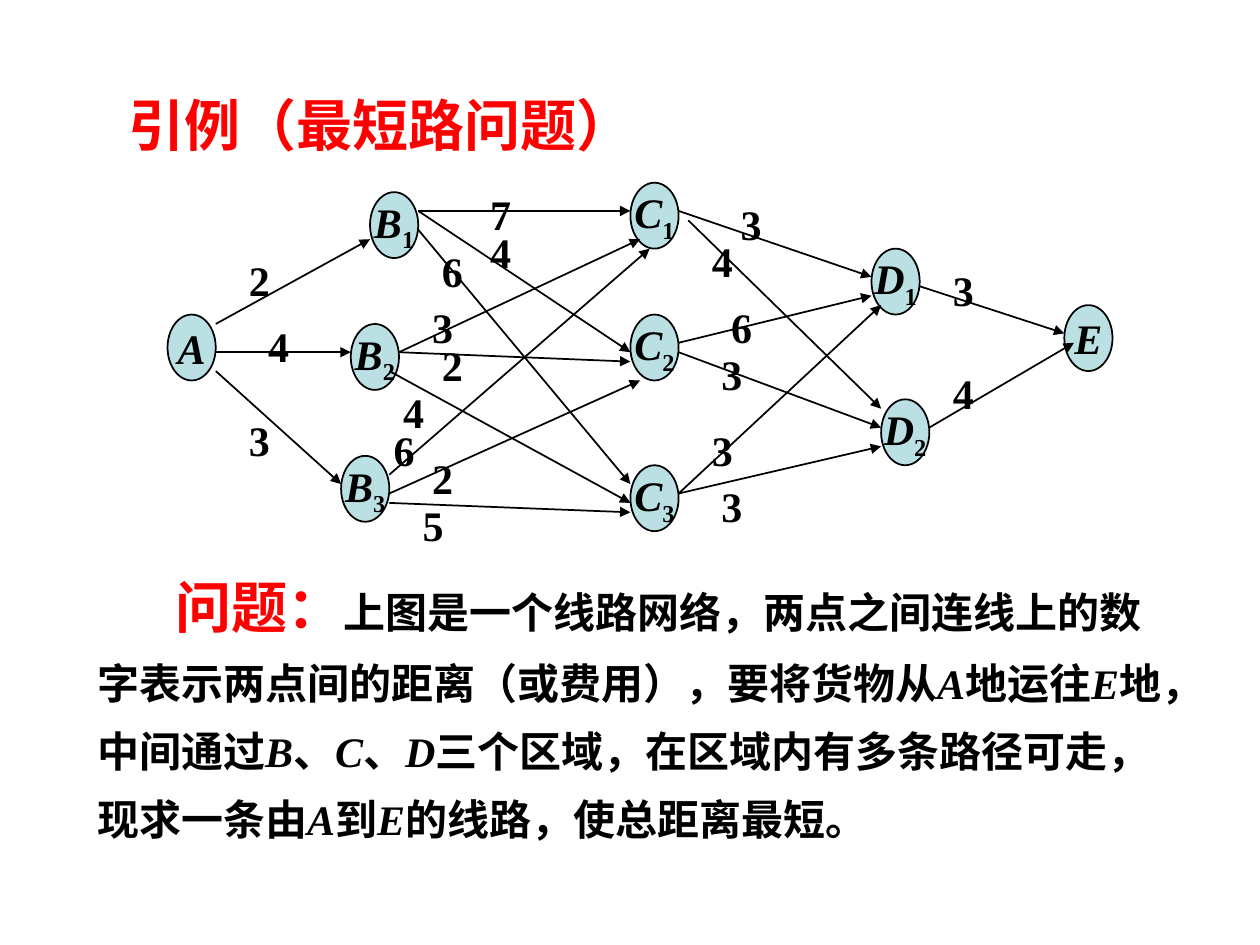
from lxml import etree
from pptx import Presentation
from pptx.dml.color import RGBColor
from pptx.enum.shapes import MSO_CONNECTOR, MSO_SHAPE
from pptx.enum.text import MSO_ANCHOR, MSO_AUTO_SIZE, PP_ALIGN
from pptx.oxml.ns import qn
from pptx.util import Pt

ELLIPSE = MSO_SHAPE.OVAL
STRAIGHT = MSO_CONNECTOR.STRAIGHT
TOP, MIDDLE = MSO_ANCHOR.TOP, MSO_ANCHOR.MIDDLE
LEFT, CENTER = PP_ALIGN.LEFT, PP_ALIGN.CENTER
NO_FIT = MSO_AUTO_SIZE.NONE

PX = 9144
SERIF, SANS, CJK = "Times New Roman", "Arial", "Noto Sans CJK SC"
BLACK, RED, PALE_BLUE = "000000", "FF0000", "BBE0E3"
COLUMNS, ROWS = 98, 40
NODE_COLUMNS, NODE_ROWS = 5, 7
LABEL_WIDTH, LABEL_HEIGHT = 54, 50

NODES = {
    "A": (0, 14),
    "B1": (21, 1), "B2": (19, 15), "B3": (18, 29),
    "C1": (48, 0), "C2": (48, 14), "C3": (48, 30),
    "D1": (73, 7), "D2": (74, 23),
    "E": (93, 13),
}

# Each route: start cell, end cell, distance, cell of the distance label.
ROUTES = [
    ((5, 15), (21, 6), "2", (6, 7)),
    ((5, 18), (19, 18), "4", (8, 14)),
    ((5, 20), (18, 32), "3", (6, 24)),
    ((26, 3), (48, 3), "7", (31, 0)),
    ((26, 3), (48, 18), "4", (31, 4)),
    ((26, 5), (48, 32), "6", (26, 6)),
    ((24, 18), (49, 6), "3", (25, 12)),
    ((24, 18), (48, 19), "2", (26, 16)),
    ((23, 20), (48, 34), "4", (22, 21)),
    ((23, 31), (50, 7), "6", (21, 25)),
    ((23, 33), (49, 21), "2", (25, 28)),
    ((23, 34), (48, 35), "5", (24, 33)),
    ((53, 3), (73, 10), "3", (57, 1)),
    ((54, 4), (74, 24), "4", (54, 5)),
    ((53, 17), (73, 12), "6", (56, 12)),
    ((53, 18), (74, 26), "3", (55, 17)),
    ((53, 33), (74, 13), "3", (54, 25)),
    ((53, 33), (74, 28), "3", (55, 31)),
    ((78, 11), (93, 16), "3", (79, 8)),
    ((79, 26), (94, 17), "4", (79, 19)),
]

QUESTION = [
    "上图是一个线路网络，两点之间连线上的数字表示两点间的距离（或费用），要将货物从",
    "A", "地运往", "E", "地，中间通过", "B", "、", "C", "、", "D",
    "三个区域，在区域内有多条路径可走，现求一条由", "A", "到", "E",
    "的线路，使总距离最短。",
]


def px(length):
    """Turn px into EMU."""
    return round(length * PX)


def color(hex_string):
    """Turn a hex string into a colour."""
    return RGBColor.from_string(hex_string)


def place(shape, box):
    """Move a shape to a box of left, top, width and height."""
    shape.left, shape.top, shape.width, shape.height = map(px, box)


def style(font, name, size, hex_string):
    """Set a bold font with its size and colour."""
    font.name, font.size, font.bold = name, Pt(size), True
    font.color.rgb = color(hex_string)


def add_run(paragraph, text):
    """Add a run whose Chinese characters use the CJK font."""
    run = paragraph.add_run()
    run.text = text
    etree.SubElement(run._r.get_or_add_rPr(), qn("a:ea")).set("typeface", CJK)
    return run


def open_placeholder(placeholder, box):
    """Place a placeholder and return its first paragraph, left aligned."""
    place(placeholder, box)
    frame = placeholder.text_frame
    frame.word_wrap, frame.auto_size, frame.vertical_anchor = True, NO_FIT, TOP
    paragraph = frame.paragraphs[0]
    paragraph.alignment, paragraph.space_before = LEFT, Pt(0)
    return paragraph


def add_heading(slide, box):
    """Fill the title placeholder."""
    heading = open_placeholder(slide.shapes.title, box)
    style(heading.font, SANS, 32, RED)
    add_run(heading, "引例（最短路问题）")


def add_question(slide, box):
    """Fill the body placeholder with the question below the network."""
    question = open_placeholder(slide.placeholders[1], box)
    question.line_spacing = 1.35
    properties = question._p.get_or_add_pPr()
    properties.set("marL", "0")
    properties.set("indent", str(px(62)))
    etree.SubElement(properties, qn("a:buNone"))
    style(question.font, SERIF, 24, BLACK)
    style(add_run(question, "问题：").font, SERIF, 32, RED)
    for part in QUESTION:
        place_name = part.isascii()
        run = add_run(question, part)
        style(run.font, SERIF if place_name or part == "、" else CJK, 24, BLACK)
        run.font.italic = place_name


def add_node(slide, name, box):
    """Draw a place as an ellipse with its letter and subscript."""
    node = slide.shapes.add_shape(ELLIPSE, *map(px, box))
    node.shadow.inherit = False
    node.fill.solid()
    node.fill.fore_color.rgb = color(PALE_BLUE)
    node.line.color.rgb = color(BLACK)
    node.line.width = Pt(1)
    frame = node.text_frame
    frame.word_wrap, frame.vertical_anchor = False, MIDDLE
    paragraph = frame.paragraphs[0]
    paragraph.alignment = CENTER
    style(paragraph.font, SERIF, 24, BLACK)
    letter = paragraph.add_run()
    letter.text, letter.font.italic = name[0], True
    if name[1:]:
        index = paragraph.add_run()
        index.text = name[1:]
        index._r.get_or_add_rPr().set("baseline", "-25000")
    for run in paragraph.runs:
        run.font.color.rgb = color(BLACK)


def add_arrow(slide, start, end):
    """Draw an arrow between two points."""
    arrow = slide.shapes.add_connector(STRAIGHT, *map(px, start + end))
    arrow.line.color.rgb = color(BLACK)
    arrow.line.width = Pt(1)
    etree.SubElement(arrow.line._get_or_add_ln(), qn("a:tailEnd")).set("type", "triangle")
    etree.SubElement(arrow._element.spPr, qn("a:effectLst"))


def add_distance(slide, distance, corner):
    """Write the distance of a route."""
    label = slide.shapes.add_textbox(*map(px, corner + (LABEL_WIDTH, LABEL_HEIGHT)))
    label.text_frame.word_wrap = True
    paragraph = label.text_frame.paragraphs[0]
    paragraph.text, paragraph.alignment = distance, CENTER
    style(paragraph.font, SERIF, 24, BLACK)


def add_network(slide, box):
    """Draw the places, the routes and their distances on a grid in the box."""
    left, top, width, height = box
    column, row = width / COLUMNS, height / ROWS

    def point(cell):
        """Return the px position of a grid cell."""
        return left + cell[0] * column, top + cell[1] * row

    for name, cell in NODES.items():
        add_node(slide, name, point(cell) + (NODE_COLUMNS * column, NODE_ROWS * row))
    for start, end, distance, corner in ROUTES:
        add_arrow(slide, point(start), point(end))
        add_distance(slide, distance, point(corner))


def main():
    """Build the slide and save it."""
    presentation = Presentation()
    presentation.slide_width, presentation.slide_height = px(1000), px(750)
    slide = presentation.slides.add_slide(presentation.slide_layouts[1])
    add_heading(slide, (92, 67, 575, 64))
    add_network(slide, (133, 145, 750, 299))
    add_question(slide, (67, 431, 867, 244))
    presentation.save("out.pptx")


if __name__ == "__main__":
    main()
